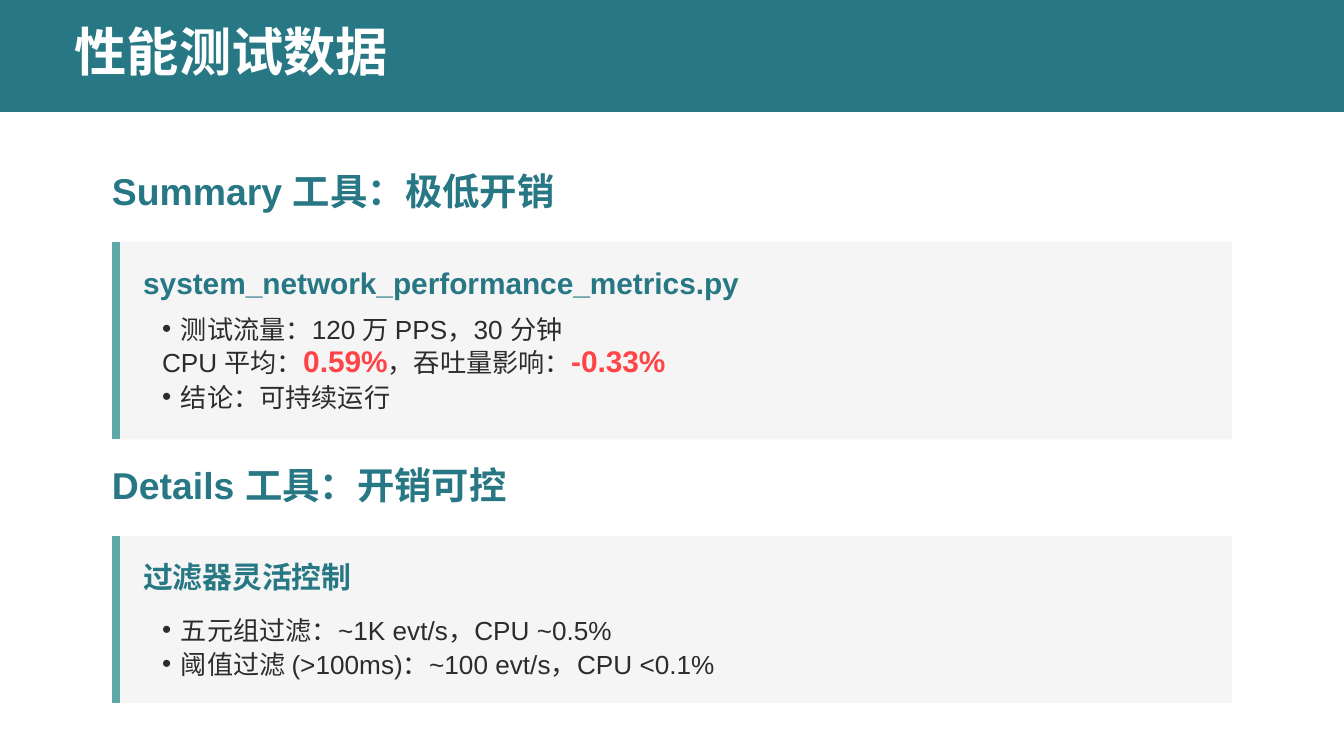
from lxml import etree
from pptx import Presentation
from pptx import util as u
from pptx.dml.color import RGBColor
from pptx.enum import shapes, text
from pptx.oxml import ns

COLORS = {"teal": "277884", "accent": "5EA8A7", "card": "F5F5F5",
          "ink": "2C2C2C", "alert": "FE4447", "white": "FFFFFF"}
FONT = "Arial"
WIDTH = 10
HEIGHT = WIDTH * 9 / 16

TITLE = "性能测试数据"
SECTIONS = [
    {"heading": "Summary 工具：极低开销",
     "label": "system_network_performance_metrics.py", "label_height": 0.26,
     "list_height": 0.79,
     "points": [
         ("•", ["测试流量：120 万 PPS，30 分钟"]),
         (None, ["CPU 平均：", ("0.59%",), "，吞吐量影响：", ("-0.33%",)]),
         ("•", ["结论：可持续运行"])]},
    {"heading": "Details 工具：开销可控",
     "label": "过滤器灵活控制", "label_height": 0.31,
     "list_height": 0.51,
     "points": [
         ("•", ["五元组过滤：~1K evt/s，CPU ~0.5%"]),
         ("•", ["阈值过滤 (>100ms)：~100 evt/s，CPU <0.1%"])]},
]

MARGIN = WIDTH / 12
CARD_WIDTH = WIDTH - 2 * MARGIN
PAD = 0.17
LABEL_GAP = 0.08
HEADING_STEP = 0.55
BAR = 4.5
TEXT_LEFT = MARGIN + BAR / 72 + PAD
INDENT = 0.14

deck = Presentation()
deck.slide_width, deck.slide_height = u.Inches(WIDTH), u.Inches(HEIGHT)
slide = deck.slides.add_slide(deck.slide_layouts[6])


def inches(*lengths):
    return [u.Inches(length) for length in lengths]


def add_block(left, top, width, height, fill):
    block = slide.shapes.add_shape(shapes.MSO_SHAPE.RECTANGLE,
                                   *inches(left, top, width, height))
    block.shadow.inherit = False
    block.fill.solid()
    block.fill.fore_color.rgb = RGBColor.from_string(COLORS[fill])
    block.line.fill.background()


def add_bar(x, top, bottom):
    bar = slide.shapes.add_connector(shapes.MSO_CONNECTOR.STRAIGHT,
                                     *inches(x, top, x, bottom))
    bar.line.color.rgb = RGBColor.from_string(COLORS["accent"])
    bar.line.width = u.Pt(BAR)
    etree.SubElement(bar._element.spPr, ns.qn("a:effectLst"))


def add_text(lines, left, top, width, height, size=14, color="ink", bold=False,
             after=None, spacing=None, inset=0, hanging=0, wrap=True):
    frame = slide.shapes.add_textbox(*inches(left, top, width, height)).text_frame
    frame.word_wrap = wrap
    frame.vertical_anchor = text.MSO_ANCHOR.TOP
    frame.margin_left = u.Inches(inset)
    frame.margin_top = frame.margin_right = frame.margin_bottom = 0
    for index, (bullet, pieces) in enumerate(lines):
        line = frame.add_paragraph() if index else frame.paragraphs[0]
        if after:
            line.space_after = u.Pt(after)
        if spacing:
            line.line_spacing = u.Pt(spacing)
        if hanging:
            props = line._p.get_or_add_pPr()
            props.set("marL", str(u.Inches(hanging)))
            props.set("indent", str(-u.Inches(hanging)))
            if bullet:
                etree.SubElement(props, ns.qn("a:buFont")).set("typeface", FONT)
                etree.SubElement(props, ns.qn("a:buChar")).set("char", bullet)
            else:
                etree.SubElement(props, ns.qn("a:buNone"))
        for piece in pieces:
            alert = isinstance(piece, tuple)
            run = line.add_run()
            run.text = piece[0] if alert else piece
            run.font.name = FONT
            run.font.size = u.Pt(16 if alert else size)
            run.font.bold = alert or bold
            run.font.color.rgb = RGBColor.from_string(
                COLORS["alert" if alert else color])


add_block(0, 0, WIDTH / 0.9, WIDTH / 12, "teal")
add_text([(None, [TITLE])], WIDTH / 18, 0.14, 2.38, 0.55,
         size=28, color="white", bold=True, wrap=False)

top = WIDTH / 8
for section in SECTIONS:
    add_text([(None, [section["heading"]])], MARGIN, top, 8.5, 0.39,
             size=20, color="teal", bold=True, after=12)
    card_top = top + HEADING_STEP
    label_top = card_top + PAD
    list_top = label_top + section["label_height"] + LABEL_GAP
    card_bottom = list_top + section["list_height"] + PAD
    add_block(MARGIN, card_top, CARD_WIDTH, card_bottom - card_top, "card")
    add_bar(MARGIN + BAR / 144, card_top, card_bottom)
    add_text([(None, [section["label"]])], TEXT_LEFT, label_top, 8.1,
             section["label_height"], size=16, color="teal", bold=True, after=6)
    add_text(section["points"], TEXT_LEFT, list_top, 7.94, section["list_height"],
             spacing=18.2, inset=INDENT, hanging=INDENT)
    top = card_bottom + PAD

deck.save("out.pptx")
